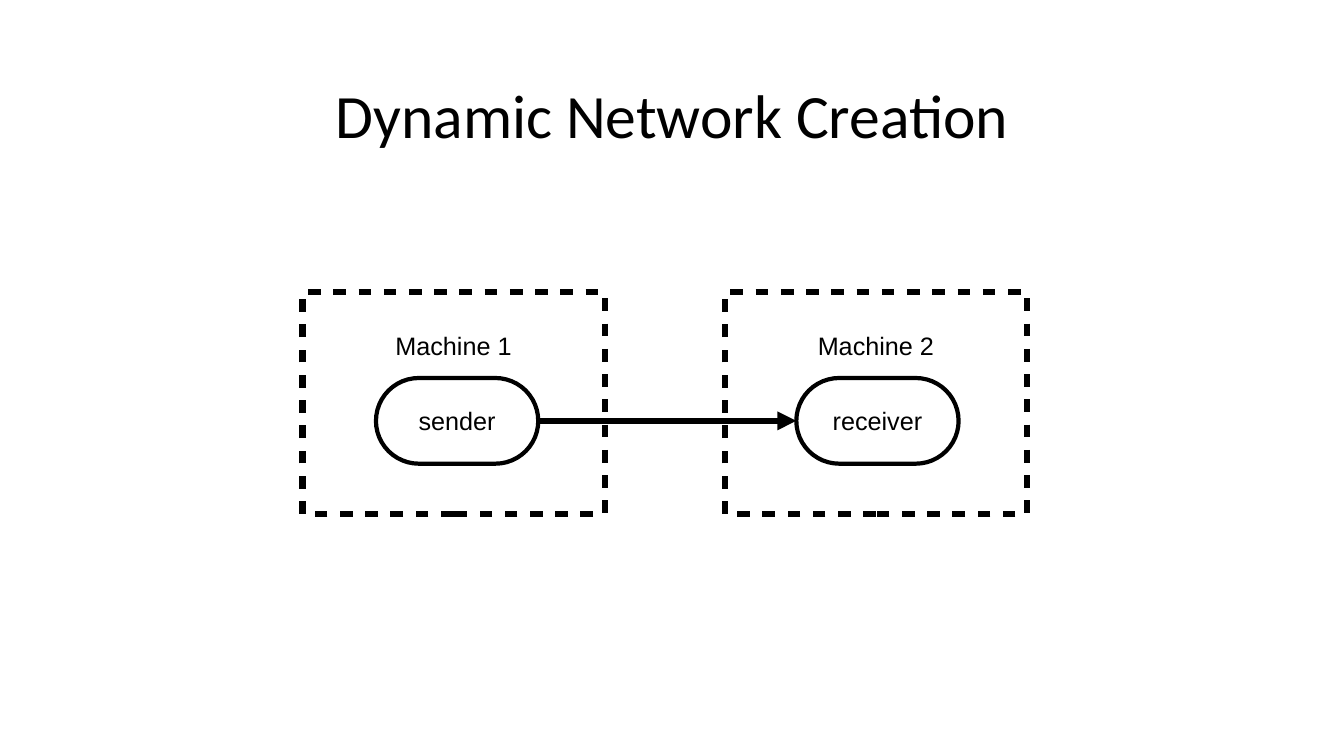
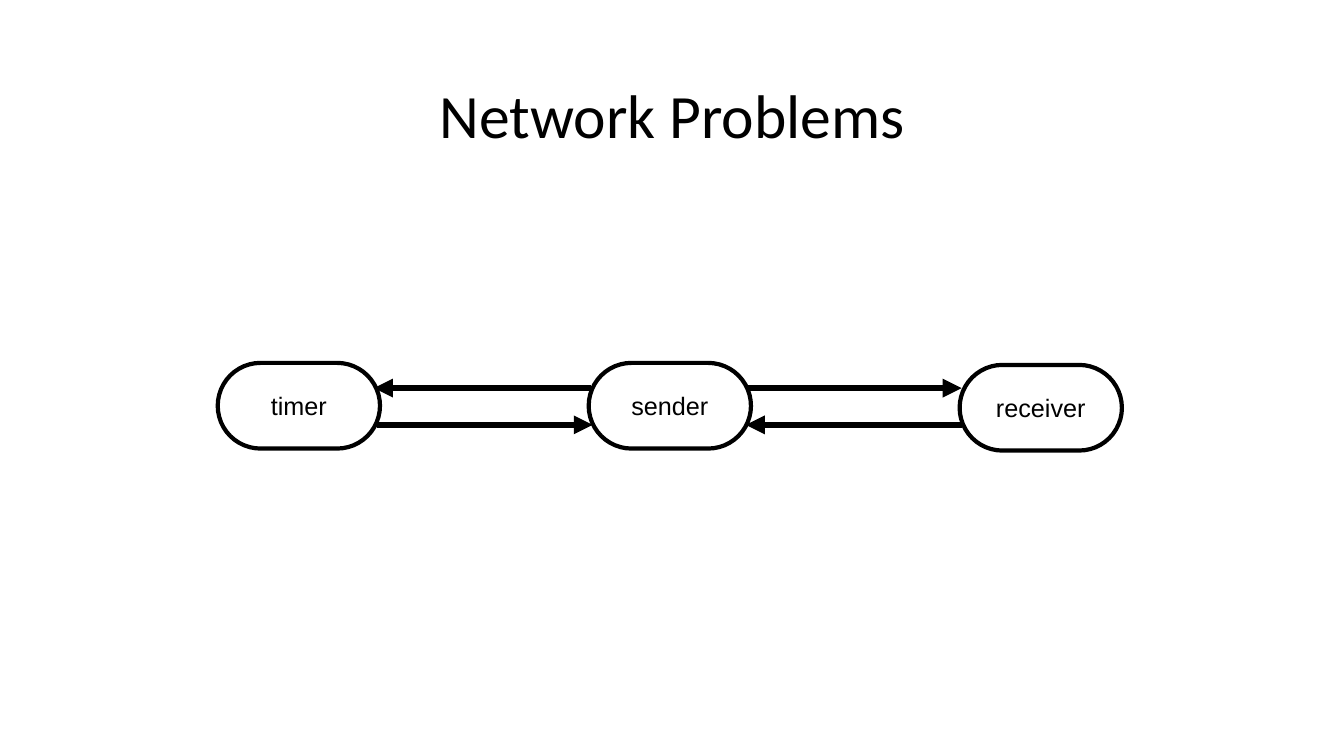
from lxml import etree
from pptx import Presentation, util as u
from pptx.dml.color import RGBColor
from pptx.enum import shapes, text
from pptx.oxml import ns

CELL = u.Inches(0.1)
COLUMNS, ROWS = 133.33, 75
INK = "000000"
TITLE_FONT, BODY_FONT = "Calibri", "Arial"
TITLE_SIZE, BODY_SIZE = 44, 18
HEAVY, MEDIUM = 4.5, 3
PILL_WIDTH, PILL_HEIGHT = 16.1, 8.5
RIGHT_SITE, LEFT_SITE = 3, 1


def grid(*cells):
    """Turn columns or rows into lengths."""
    return [int(cell * CELL) for cell in cells]


def color(value):
    """Turn a hex string into a colour."""
    return RGBColor.from_string(value)


def add_xml(parent, tag, **attributes):
    """Append a drawing element to a parent and return it."""
    return etree.SubElement(parent, ns.qn(tag), attributes)


def write(shape, words, font, size, anchor, insets):
    """Put one centred line of text in a shape."""
    frame = shape.text_frame
    frame.text = words
    frame.vertical_anchor = anchor
    frame.margin_left = frame.margin_right = u.Inches(insets[0])
    frame.margin_top = frame.margin_bottom = u.Inches(insets[1])
    paragraph = frame.paragraphs[0]
    paragraph.alignment = text.PP_ALIGN.CENTER
    run_font = paragraph.runs[0].font
    run_font.name, run_font.size = font, u.Pt(size)
    run_font.color.rgb = color(INK)
    return paragraph


def stroke(line, width):
    """Give a line its colour and width."""
    line.color.rgb = color(INK)
    line.width = u.Pt(width)


def add_outline(slide, kind, box, width):
    """Add an unfilled preset shape."""
    shape = slide.shapes.add_shape(kind, *grid(*box))
    shape.shadow.inherit = False
    shape.fill.background()
    stroke(shape.line, width)
    return shape


def add_titled_slide(presentation, title):
    """Add a blank slide with a centred title."""
    slide = presentation.slides.add_slide(presentation.slide_layouts[6])
    shape = slide.shapes.add_textbox(*grid(9.2, 4, 115, 14.5))
    shape.text_frame.word_wrap = True
    write(shape, title, TITLE_FONT, TITLE_SIZE, text.MSO_ANCHOR.MIDDLE, (0, 0))
    return slide


def add_machine(slide, name, left):
    """Add a dashed box with its machine name at the top."""
    shape = add_outline(slide, shapes.MSO_SHAPE.RECTANGLE,
                        (left, 29, 30, 22), HEAVY)
    dashes = etree.Element(ns.qn("a:custDash"))
    add_xml(dashes, "a:ds", d="200000", sp="200000")
    shape.line.fill._xPr.find(ns.qn("a:solidFill")).addnext(dashes)
    paragraph = write(shape, name, BODY_FONT, BODY_SIZE,
                      text.MSO_ANCHOR.TOP, (0.13, 0.08))
    paragraph.line_spacing = 2.0
    shape.text_frame.word_wrap = False


def add_process(slide, name, left, top):
    """Add a pill that stands for a process."""
    pill = add_outline(slide, shapes.MSO_SHAPE.ROUNDED_RECTANGLE,
                       (left, top, PILL_WIDTH, PILL_HEIGHT), MEDIUM)
    pill.adjustments[0] = 0.5
    pill.text_frame.word_wrap = True
    write(pill, name, BODY_FONT, BODY_SIZE, text.MSO_ANCHOR.MIDDLE, (0.1, 0.05))
    return pill


def add_arrow(slide, start, end, row):
    """Add a level arrow from one column to another."""
    arrow = slide.shapes.add_connector(shapes.MSO_CONNECTOR.STRAIGHT,
                                       *grid(start, row, end, row))
    stroke(arrow.line, HEAVY)
    add_xml(arrow.line.fill._xPr, "a:tailEnd", type="triangle")
    add_xml(arrow._element.spPr, "a:effectLst")
    return arrow


def build_creation(presentation):
    """Show two machines joined by one message."""
    slide = add_titled_slide(presentation, "Dynamic Network Creation")
    add_machine(slide, "Machine 2", 71.9)
    add_machine(slide, "Machine 1", 30)
    sender = add_process(slide, "sender", 37.3, 37.5)
    receiver = add_process(slide, "receiver", 79, 37.5)
    arrow = add_arrow(slide, 53.4, 79, 41.7)
    arrow.begin_connect(sender, RIGHT_SITE)
    arrow.end_connect(receiver, LEFT_SITE)


def build_problems(presentation):
    """Show three processes with messages both ways."""
    slide = add_titled_slide(presentation, "Network Problems")
    pitch, first = 36.8, 21.6
    for index, (name, top) in enumerate(
            [("timer", 36), ("sender", 36), ("receiver", 36.2)]):
        add_process(slide, name, first + index * pitch, top)
    upper, lower = 38.5, 42.15
    for start, end, row in [(58.6, 37.1, upper), (37.4, 58.8, lower),
                            (74, 95.4, upper), (95.4, 74, lower)]:
        add_arrow(slide, start, end, row)


def main():
    """Build and save the presentation."""
    presentation = Presentation()
    presentation.slide_width, presentation.slide_height = grid(COLUMNS, ROWS)
    build_creation(presentation)
    build_problems(presentation)
    presentation.save("out.pptx")


main()
